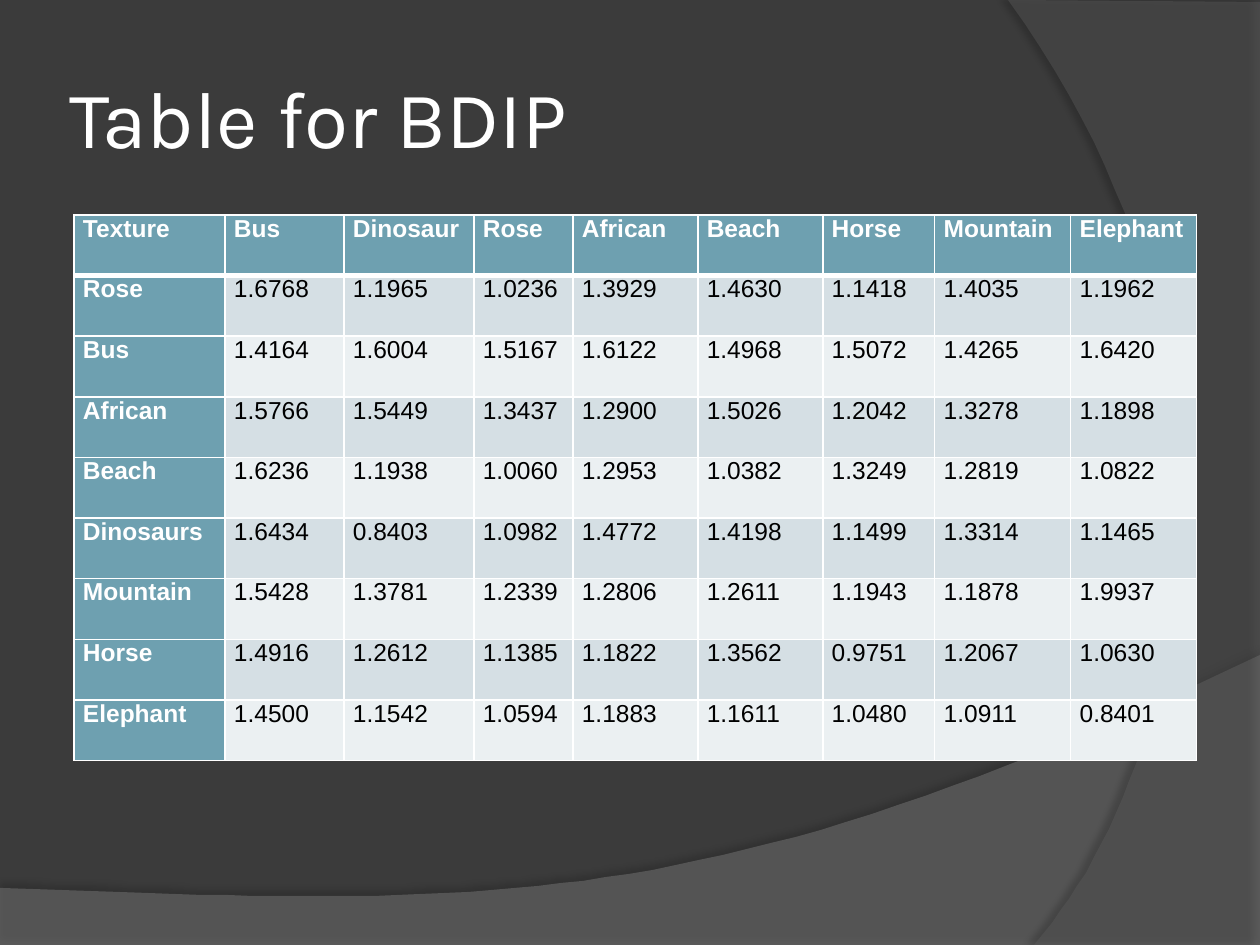
from lxml import etree
from pptx import Presentation
from pptx import util as u
from pptx.dml.color import RGBColor
from pptx.enum import text
from pptx.oxml import ns

SCALE = 914400 / 126
BACKGROUND = RGBColor(0x3B, 0x3B, 0x3B)
LOWER_WAVE = RGBColor(0x7F, 0x7F, 0x7F)
RIGHT_WAVE = RGBColor(0x5E, 0x5E, 0x5E)
WHITE = RGBColor(0xFF, 0xFF, 0xFF)
BLACK = RGBColor(0, 0, 0)
HEADER = RGBColor(0x6E, 0xA0, 0xB0)
BANDS = [RGBColor(0xEB, 0xF0, 0xF2), RGBColor(0xD5, 0xDF, 0xE4)]

COLUMN_WIDTHS = [151, 119, 130, 99, 125, 125, 112, 136, 126]
TABLE_HEIGHT = 546
ROWS = [line.split() for line in """
Texture Bus Dinosaur Rose African Beach Horse Mountain Elephant
Rose 1.6768 1.1965 1.0236 1.3929 1.4630 1.1418 1.4035 1.1962
Bus 1.4164 1.6004 1.5167 1.6122 1.4968 1.5072 1.4265 1.6420
African 1.5766 1.5449 1.3437 1.2900 1.5026 1.2042 1.3278 1.1898
Beach 1.6236 1.1938 1.0060 1.2953 1.0382 1.3249 1.2819 1.0822
Dinosaurs 1.6434 0.8403 1.0982 1.4772 1.4198 1.1499 1.3314 1.1465
Mountain 1.5428 1.3781 1.2339 1.2806 1.2611 1.1943 1.1878 1.9937
Horse 1.4916 1.2612 1.1385 1.1822 1.3562 0.9751 1.2067 1.0630
Elephant 1.4500 1.1542 1.0594 1.1883 1.1611 1.0480 1.0911 0.8401
""".strip().splitlines()]


def px(length):
    return u.Emu(round(length * SCALE))


def bezier(p0, p1, p2, p3, steps=48):
    """Return points along a cubic curve, without its start."""
    points = []
    for i in range(1, steps + 1):
        t = i / steps
        weights = ((1 - t) ** 3, 3 * t * (1 - t) ** 2, 3 * t * t * (1 - t), t ** 3)
        points.append(tuple(sum(w * p[axis] for w, p in zip(weights, (p0, p1, p2, p3)))
                            for axis in (0, 1)))
    return points


prs = Presentation()
prs.slide_width, prs.slide_height = px(1260), px(945)
slide = prs.slides.add_slide(prs.slide_layouts[6])
slide.background.fill.solid()
slide.background.fill.fore_color.rgb = BACKGROUND

# Background waves: outline, colour, opacity %, shadow opacity %, distance pt, direction
lower_outline = [(0, 888), (0, 946), (1260, 946), (1260, 655),
                 *bezier((1260, 655), (704, 919), (493, 906), (0, 888))]
right_outline = [(1260, 2), (1260, 945), (1034, 945),
                 *bezier((1034, 945), (1178, 780), (1283, 378), (1008, 0))]
for outline, color, opacity, shade, distance, direction in [
    (lower_outline, LOWER_WAVE, 45, 35, 3.5, 270),
    (right_outline, RIGHT_WAVE, 40, 45, 4, 180),
]:
    builder = slide.shapes.build_freeform(*outline[0], scale=SCALE)
    builder.add_line_segments(outline[1:], close=True)
    wave = builder.convert_to_shape()
    wave.fill.solid()
    wave.fill.fore_color.rgb = color
    wave.line.fill.background()
    fill_color = wave.fill._xPr.find(".//" + ns.qn("a:srgbClr"))
    etree.SubElement(fill_color, ns.qn("a:alpha"), val=str(opacity * 1000))
    wave.shadow.inherit = False
    effects = wave._element.spPr.find(ns.qn("a:effectLst"))
    shadow = etree.SubElement(effects, ns.qn("a:outerShdw"), blurRad=str(u.Pt(4)),
                              dist=str(u.Pt(distance)), dir=str(direction * 60000),
                              algn="ctr", rotWithShape="0")
    shadow_color = etree.SubElement(shadow, ns.qn("a:srgbClr"), val=str(BLACK))
    etree.SubElement(shadow_color, ns.qn("a:alpha"), val=str(shade * 1000))

title = slide.shapes.add_textbox(px(63), px(38), px(1029), px(157)).text_frame
title_format = dict.fromkeys(
    ("margin_left", "margin_right", "margin_top", "margin_bottom"), px(6))
title_format.update(word_wrap=True, vertical_anchor=text.MSO_ANCHOR.MIDDLE)
for name, value in title_format.items():
    setattr(title, name, value)
title_run = title.paragraphs[0].add_run()
title_run.text = "Table for BDIP"
for name, value in {"size": u.Pt(46), "name": "Karla"}.items():
    setattr(title_run.font, name, value)
title_run.font.color.rgb = WHITE

table = slide.shapes.add_table(len(ROWS), len(COLUMN_WIDTHS), px(74), px(215),
                               px(sum(COLUMN_WIDTHS)), px(TABLE_HEIGHT)).table
for column, width in zip(table.columns, COLUMN_WIDTHS):
    column.width = px(width)
for row in table.rows:
    row.height = px(TABLE_HEIGHT / len(ROWS))

cell_format = {"margin_left": px(9), "margin_right": px(9), "margin_top": 0,
               "margin_bottom": 0, "vertical_anchor": text.MSO_ANCHOR.TOP}
for r, values in enumerate(ROWS):
    for c, value in enumerate(values):
        cell = table.cell(r, c)
        for name, setting in cell_format.items():
            setattr(cell, name, setting)
        heading = r == 0 or c == 0
        borders = {"lnL": 1, "lnR": 1, "lnT": 3 if r == 1 else 1, "lnB": 3 if r == 0 else 1}
        for side, width in borders.items():
            border = etree.SubElement(cell._tc.get_or_add_tcPr(), ns.qn("a:" + side),
                                      w=str(u.Pt(width)))
            border_fill = etree.SubElement(border, ns.qn("a:solidFill"))
            etree.SubElement(border_fill, ns.qn("a:srgbClr"), val=str(WHITE))
        cell.fill.solid()
        cell.fill.fore_color.rgb = HEADER if heading else BANDS[r % 2]
        run = cell.text_frame.paragraphs[0].add_run()
        run.text = value
        for name, setting in {"size": u.Pt(14), "name": "Arial", "bold": heading}.items():
            setattr(run.font, name, setting)
        run.font.color.rgb = WHITE if heading else BLACK

prs.save("out.pptx")
